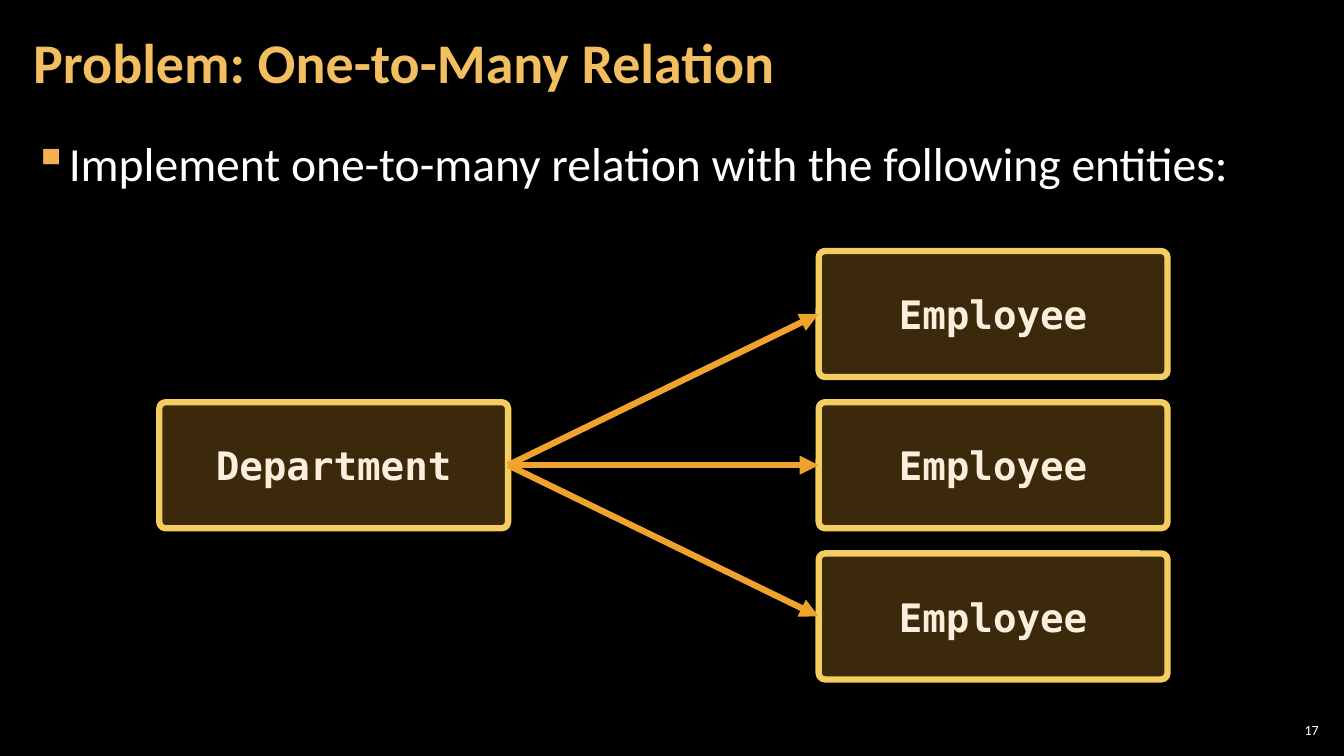
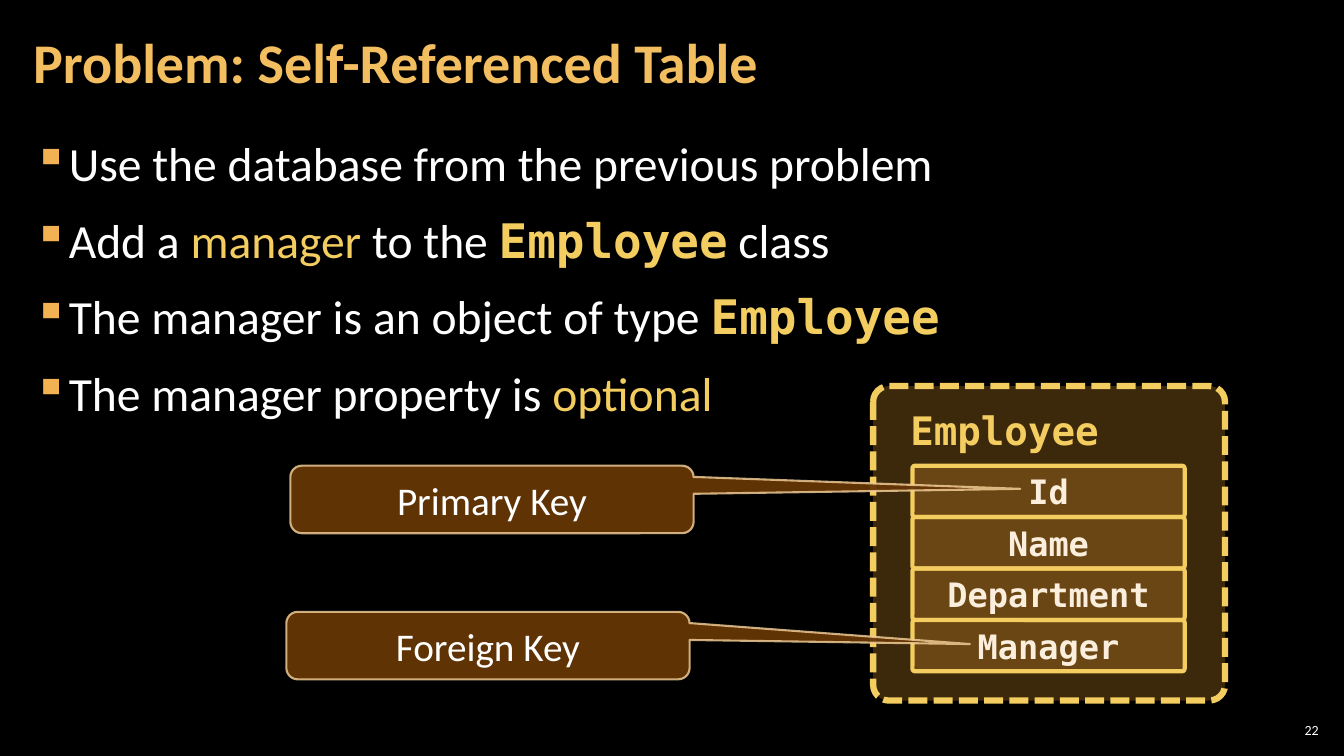
from lxml.etree import SubElement
from pptx import Presentation
from pptx.dml.color import RGBColor
from pptx.enum.dml import MSO_LINE
from pptx.enum.shapes import MSO_CONNECTOR, MSO_SHAPE
from pptx.enum.text import MSO_ANCHOR, PP_ALIGN
from pptx.oxml.ns import qn
from pptx.util import Inches, Pt

BLACK, WHITE, CREAM = "000000", "FFFFFF", "FBEEDC"
TITLE, BULLET = "F3BE60", "F2B254"
GOLD, ORANGE = "F3CD60", "F0A22E"
BROWN, SAND = "663606", "F8D49E"
SANS, MONO = "Calibri", "DejaVu Sans Mono"
LEFT_SITE, RIGHT_SITE = 1, 3


def rgb(value):
    return RGBColor.from_string(value)


def set_alpha(fill_parent, percent):
    color = fill_parent.find(qn("a:solidFill")).find(qn("a:srgbClr"))
    SubElement(color, qn("a:alpha"), val=str(percent * 1000))


class Deck:
    def __init__(self):
        self.prs = Presentation()
        self.prs.slide_width, self.prs.slide_height = Inches(13.33), Inches(7.5)
        fill = self.prs.slide_master.background.fill
        fill.solid()
        fill.fore_color.rgb = rgb(BLACK)
        self.s = None

    def slide(self, title, number):
        self.s = self.prs.slides.add_slide(self.prs.slide_layouts[6])
        tf = self.text_box(0.21, 0.04, 10.47, 1.21, (0.12, 0.04), MSO_ANCHOR.MIDDLE)
        tf.paragraphs[0].line_spacing = 0.9
        self.run(tf.paragraphs[0], title, 40, TITLE, bold=True)
        tf = self.text_box(12.65, 7.14, 0.47, 0.21, (0.04, 0.04), MSO_ANCHOR.MIDDLE)
        tf.paragraphs[0].alignment = PP_ALIGN.RIGHT
        self.run(tf.paragraphs[0], str(number), 10, WHITE)

    def text_box(self, x, y, w, h, insets=(0.1, 0.05), anchor=MSO_ANCHOR.TOP):
        sp = self.s.shapes.add_textbox(Inches(x), Inches(y), Inches(w), Inches(h))
        tf = sp.text_frame
        tf.word_wrap = True
        tf.vertical_anchor = anchor
        tf.margin_left = tf.margin_right = Inches(insets[0])
        tf.margin_top = tf.margin_bottom = Inches(insets[1])
        return tf

    def run(self, p, text, size, color, font=SANS, bold=False):
        r = p.add_run()
        r.text = text
        r.font.size, r.font.name, r.font.bold = Pt(size), font, bold
        r.font.color.rgb = rgb(color)

    def bullets(self, items):
        styles = {"": (WHITE, SANS, False), "key": (GOLD, SANS, False),
                  "code": (GOLD, MONO, True)}
        tf = self.text_box(0.21, 1.26, 12.91, 6.09, (0.12, 0.04))
        for i, item in enumerate(items):
            p = tf.paragraphs[0] if i == 0 else tf.add_paragraph()
            p.line_spacing = 1.05
            p.space_before, p.space_after = Pt(6 if i else 0), Pt(6)
            pPr = p._p.get_or_add_pPr()
            pPr.set("marL", str(Inches(0.33)))
            pPr.set("indent", str(-Inches(0.33)))
            SubElement(SubElement(pPr, qn("a:buClr")), qn("a:srgbClr"), val=BULLET)
            SubElement(pPr, qn("a:buChar"), char="▪")
            for text, style in item:
                self.run(p, text, 34, *styles[style])

    def shape(self, kind, x, y, w, h, adj, fill, alpha, line, width):
        sp = self.s.shapes.add_shape(kind, Inches(x), Inches(y), Inches(w), Inches(h))
        sp.shadow.inherit = False
        for i, value in enumerate(adj):
            sp.adjustments[i] = value
        sp.fill.solid()
        sp.fill.fore_color.rgb = rgb(fill)
        set_alpha(sp._element.spPr, alpha)
        sp.line.color.rgb = rgb(line)
        sp.line.width = Pt(width)
        return sp

    def label(self, sp, text, size, color, font=SANS, bold=False):
        tf = sp.text_frame
        tf.word_wrap = True
        tf.vertical_anchor = MSO_ANCHOR.MIDDLE
        tf.paragraphs[0].alignment = PP_ALIGN.CENTER
        self.run(tf.paragraphs[0], text, size, color, font, bold)

    def panel(self, x, y, w, h, width=4.5):
        return self.shape(MSO_SHAPE.ROUNDED_RECTANGLE, x, y, w, h, [0.05],
                          ORANGE, 25, GOLD, width)

    def entity(self, text, x, y):
        sp = self.panel(x, y, 3.46, 1.25)
        self.label(sp, text, 28, CREAM, MONO, True)
        return sp

    def arrow(self, start, end):
        cn = self.s.shapes.add_connector(MSO_CONNECTOR.STRAIGHT, 0, 0, 0, 0)
        cn.begin_connect(start, RIGHT_SITE)
        cn.end_connect(end, LEFT_SITE)
        cn.line.color.rgb = rgb(ORANGE)
        cn.line.width = Pt(4.5)
        SubElement(cn.line._get_or_add_ln(), qn("a:tailEnd"), type="triangle")
        SubElement(cn._element.spPr, qn("a:effectLst"))

    def record(self, name, fields):
        frame = self.panel(8.66, 3.83, 3.49, 3.12)
        frame.line.dash_style = MSO_LINE.SQUARE_DOT
        tf = self.text_box(8.93, 3.98, 2.94, 0.57)
        self.run(tf.paragraphs[0], name, 28, GOLD, MONO, True)
        height = 0.51
        for i, field in enumerate(fields):
            sp = self.panel(9.05, 4.62 + i * height, 2.7, height, 3)
            self.label(sp, field, 24, CREAM, MONO, True)

    def callout(self, text, x, y, tip_x, tip_y):
        w, h = 4, 0.67
        adj = [(tip_x - x) / w - 0.5, (tip_y - y) / h - 0.5, 0.17]
        sp = self.shape(MSO_SHAPE.ROUNDED_RECTANGULAR_CALLOUT, x, y, w, h, adj,
                        BROWN, 95, SAND, 1.5)
        set_alpha(sp.line._get_or_add_ln(), 80)
        self.label(sp, text, 28, WHITE)


def main():
    deck = Deck()

    deck.slide("Problem: One-to-Many Relation", 17)
    deck.bullets([
        [("Implement one-to-many relation with the following entities:", "")],
    ])
    department = deck.entity("Department", 1.58, 3.99)
    employees = [deck.entity("Employee", 8.12, 2.49 + i * 1.5) for i in range(3)]
    for employee in employees:
        deck.arrow(department, employee)

    deck.slide("Problem: Self-Referenced Table", 22)
    deck.bullets([
        [("Use the database from the previous problem", "")],
        [("Add a ", ""), ("manager", "key"), (" to the ", ""),
         ("Employee", "code"), (" class", "")],
        [("The manager is an object of type ", ""), ("Employee", "code")],
        [("The manager property is ", ""), ("optional", "key")],
    ])
    deck.record("Employee", ["Id", "Name", "Department", "Manager"])
    deck.callout("Primary Key", 2.88, 4.62, 10.12, 4.85)
    deck.callout("Foreign Key", 2.84, 6.07, 9.62, 6.39)

    deck.prs.save("out.pptx")


if __name__ == "__main__":
    main()
